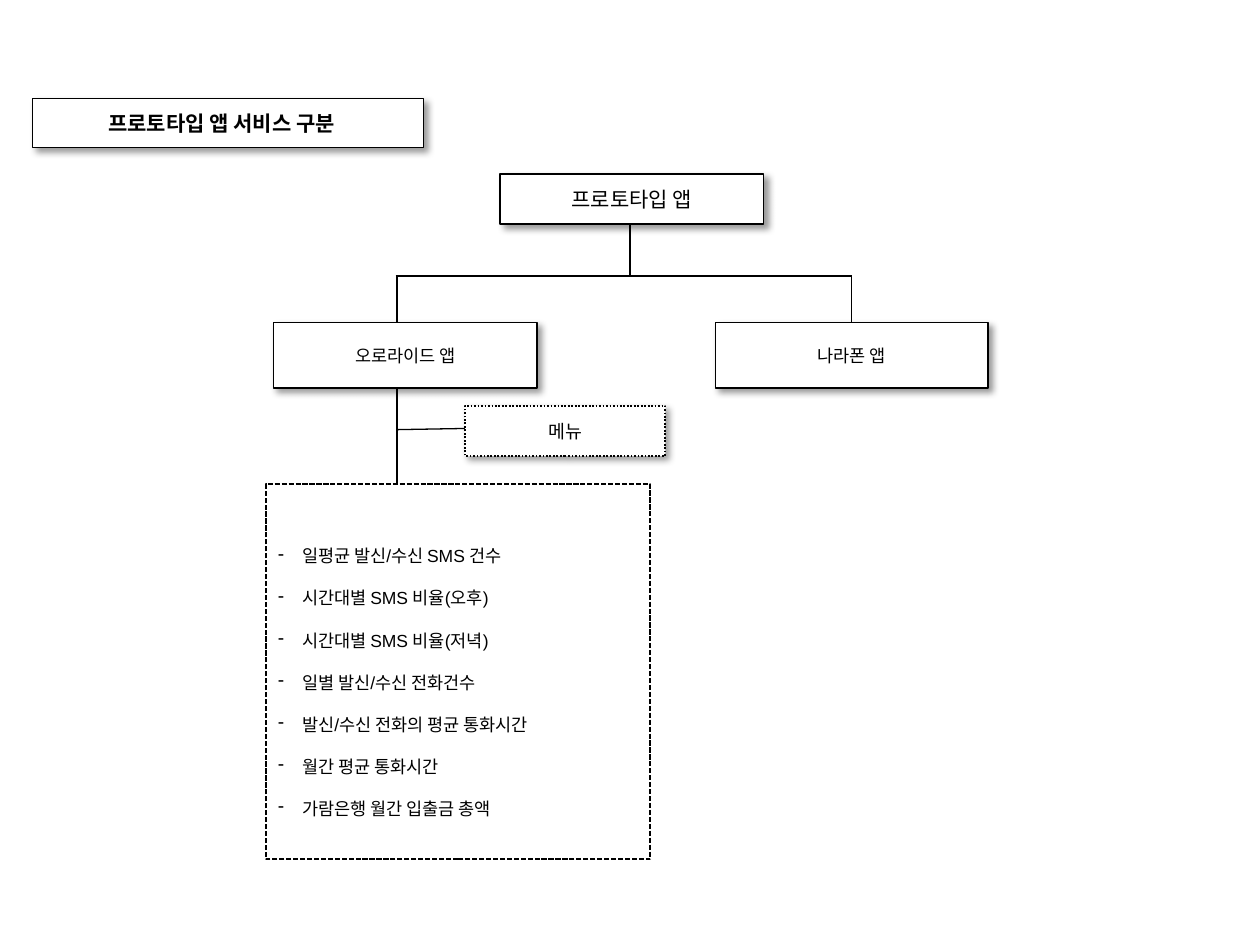
from dataclasses import dataclass
from typing import Optional

from lxml.etree import SubElement
from pptx import Presentation
from pptx.dml.color import RGBColor
from pptx.enum.dml import MSO_LINE as Dash
from pptx.enum.shapes import MSO_CONNECTOR as Connector, MSO_SHAPE as ShapeKind
from pptx.enum.text import MSO_ANCHOR as Anchor, PP_ALIGN as Align
from pptx.oxml.ns import qn
from pptx.util import Inches, Pt

BLACK = "000000"
WHITE = "FFFFFF"


@dataclass
class Box:
    left: float
    top: float
    width: float
    height: float
    lines: list[str]
    size: float = 10
    bold: bool = False
    border: float = 1
    dash: Optional[Dash] = None
    bulleted: bool = False
    margin_left: float = 0.1


@dataclass
class Link:
    x1: float
    y1: float
    x2: float
    y2: float


MENU_ITEMS = [
    "일평균 발신/수신 SMS 건수",
    "시간대별 SMS 비율(오후)",
    "시간대별 SMS 비율(저녁)",
    "일별 발신/수신 전화건수",
    "발신/수신 전화의 평균 통화시간",
    "월간 평균 통화시간",
    "가람은행 월간 입출금 총액",
]

LINKS = [
    Link(5, 1.72, 5, 2.19),
    Link(3.14, 2.19, 6.76, 2.19),
    Link(3.15, 2.2, 3.15, 3.89),
    Link(3.15, 3.41, 3.72, 3.4),
    Link(6.76, 2.19, 6.76, 2.56),
]

BOXES = [
    Box(0.26, 0.78, 3.1, 0.39, ["프로토타입 앱 서비스 구분"], 12, True, 0.75, margin_left=0),
    Box(3.97, 1.38, 2.09, 0.4, ["프로토타입 앱"], 12),
    Box(5.68, 2.56, 2.16, 0.52, ["나라폰 앱"]),
    Box(2.17, 2.56, 2.09, 0.52, ["오로라이드 앱"]),
    Box(3.69, 3.22, 1.59, 0.4, ["메뉴"], 10.5, dash=Dash.ROUND_DOT),
    Box(2.11, 3.84, 3.05, 2.98, MENU_ITEMS, dash=Dash.SQUARE_DOT, bulleted=True),
]


def color(value: str) -> RGBColor:
    return RGBColor.from_string(value)


def set_values(target, values: dict) -> None:
    for name, value in values.items():
        setattr(target, name, value)


def add_shadow(shape) -> None:
    effects = shape._element.spPr.find(qn("a:effectLst"))
    shadow = SubElement(effects, qn("a:outerShdw"), blurRad=str(Pt(4)), dist=str(Pt(3)),
                        dir="2700000", algn="tl", rotWithShape="0")
    tint = SubElement(shadow, qn("a:srgbClr"), val=BLACK)
    SubElement(tint, qn("a:alpha"), val="40000")


def add_bullet(paragraph) -> None:
    properties = paragraph._p.get_or_add_pPr()
    properties.set("marL", str(Inches(0.19)))
    properties.set("indent", str(-Inches(0.19)))
    SubElement(properties, qn("a:buChar"), char="-")


def add_link(slide, link: Link) -> None:
    ends = [Inches(value) for value in (link.x1, link.y1, link.x2, link.y2)]
    connector = slide.shapes.add_connector(Connector.STRAIGHT, *ends)
    connector.line.width = Pt(0.75)
    connector.line.color.rgb = color(BLACK)
    SubElement(connector._element.spPr, qn("a:effectLst"))


def add_box(slide, box: Box) -> None:
    place = [Inches(value) for value in (box.left, box.top, box.width, box.height)]
    shape = slide.shapes.add_shape(ShapeKind.RECTANGLE, *place)
    shape.shadow.inherit = False
    shape.fill.solid()
    shape.fill.fore_color.rgb = color(WHITE)
    shape.line.color.rgb = color(BLACK)
    shape.line.width = Pt(box.border)
    if box.dash is not None:
        shape.line.dash_style = box.dash
    if not box.bulleted:
        add_shadow(shape)
    frame = shape.text_frame
    set_values(frame, {"word_wrap": True, "vertical_anchor": Anchor.MIDDLE,
                       "margin_left": Inches(box.margin_left)})
    for index, text in enumerate(box.lines):
        paragraph = frame.add_paragraph() if index else frame.paragraphs[0]
        paragraph.alignment = Align.LEFT if box.bulleted else Align.CENTER
        if box.bulleted:
            paragraph.line_spacing = 2.0
            add_bullet(paragraph)
        run = paragraph.add_run()
        run.text = text
        set_values(run.font, {"name": "Arial", "size": Pt(box.size), "bold": box.bold})
        run.font.color.rgb = color(BLACK)


def main() -> None:
    presentation = Presentation()
    set_values(presentation, {"slide_width": Inches(10), "slide_height": Inches(7.5)})
    slide = presentation.slides.add_slide(presentation.slide_layouts[6])
    for link in LINKS:
        add_link(slide, link)
    for box in BOXES:
        add_box(slide, box)
    presentation.save("out.pptx")


main()
